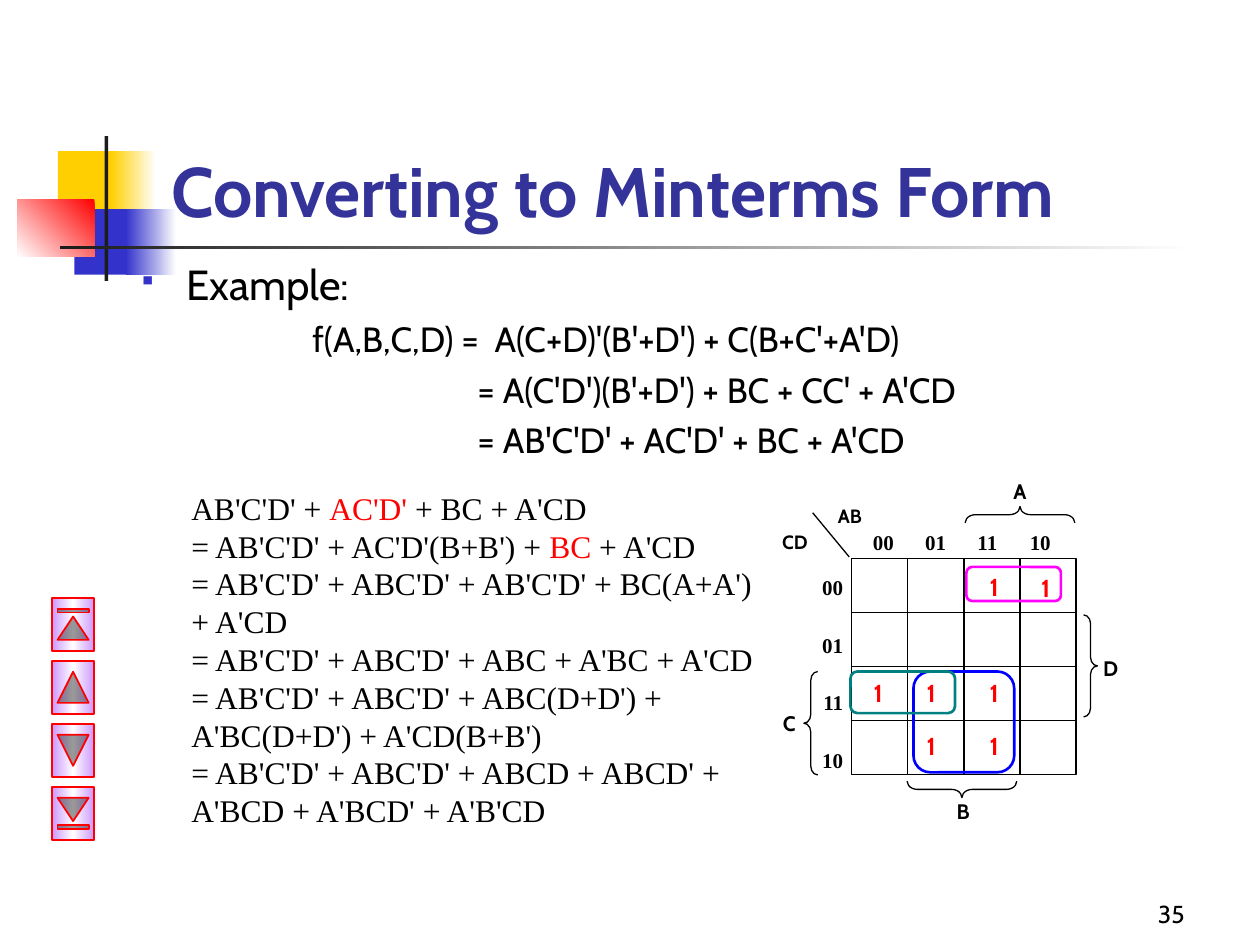
from dataclasses import dataclass
from typing import Optional

from lxml import etree
from pptx import Presentation
from pptx.dml.color import RGBColor
from pptx.enum import shapes, text
from pptx.oxml import parse_xml
from pptx.oxml.ns import nsdecls, qn
from pptx.util import Inches, Pt

SHAPE, ALIGN, ANCHOR = shapes.MSO_SHAPE, text.PP_ALIGN, text.MSO_ANCHOR
COLORS = {
    "black": "000000", "white": "FFFFFF", "title": "333399", "gold": "FFCF01",
    "indigo": "3333CC", "red": "FF0000", "dark": "1C1C1C", "blue": "0000FF",
    "teal": "008080", "magenta": "FF00FF", "lilac": "CC99FF",
}
SANS, SERIF = "Cabin", "Times New Roman"


@dataclass
class Box:
    """A preset shape; two or more fill colours make a gradient."""
    kind: int
    x: float
    y: float
    w: float
    h: float
    fill: tuple = ()
    angle: int = 0
    line: Optional[str] = None
    weight: float = 0.75
    adj: Optional[float] = None
    turn: int = 0


@dataclass
class Label:
    words: str
    x: float
    y: float
    w: float
    h: float
    size: int = 12
    color: str = "black"


def rgb(name: str) -> RGBColor:
    return RGBColor.from_string(COLORS[name])


def set_gradient(sp, names: tuple, angle: int) -> None:
    stops = "".join(
        f'<a:gs pos="{100000 * i // (len(names) - 1)}"><a:srgbClr val="{COLORS[n]}"/></a:gs>'
        for i, n in enumerate(names))
    sp.element.spPr.find(qn("a:prstGeom")).addnext(parse_xml(
        f'<a:gradFill rotWithShape="1" {nsdecls("a")}><a:gsLst>{stops}</a:gsLst>'
        f'<a:lin ang="{angle * 60000}" scaled="1"/></a:gradFill>'))


def draw_box(s, b: Box):
    sp = s.shapes.add_shape(b.kind, Inches(b.x), Inches(b.y), Inches(b.w), Inches(b.h))
    sp.shadow.inherit = False
    sp.rotation = b.turn
    if b.adj is not None:
        sp.adjustments[0] = b.adj
    if len(b.fill) > 1:
        set_gradient(sp, b.fill, b.angle)
    elif b.fill:
        sp.fill.solid()
        sp.fill.fore_color.rgb = rgb(b.fill[0])
    else:
        sp.fill.background()
    if b.line:
        sp.line.color.rgb = rgb(b.line)
        sp.line.width = Pt(b.weight)
    else:
        sp.line.fill.background()
    return sp


def draw_line(s, x1: float, y1: float, x2: float, y2: float):
    c = s.shapes.add_connector(shapes.MSO_CONNECTOR.STRAIGHT,
                               Inches(x1), Inches(y1), Inches(x2), Inches(y2))
    c.line.color.rgb = rgb("black")
    c.line.width = Pt(0.75)
    etree.SubElement(c.element.spPr, qn("a:effectLst"))
    return c


def write(tf, paragraphs, *, size=12, font=SANS, color="black", bold=False,
          align=ALIGN.LEFT, anchor=ANCHOR.TOP, gap=0.0) -> None:
    """Each paragraph is a string or a list of (text, colour) runs."""
    tf.word_wrap = True
    tf.auto_size = text.MSO_AUTO_SIZE.NONE
    tf.vertical_anchor = anchor
    for i, runs in enumerate(paragraphs):
        p = tf.paragraphs[0] if i == 0 else tf.add_paragraph()
        p.alignment = align
        if i and gap:
            p.space_before = Pt(gap)
        for words, shade in [(runs, color)] if isinstance(runs, str) else runs:
            r = p.add_run()
            r.text = words
            r.font.size, r.font.name, r.font.bold = Pt(size), font, bold
            r.font.color.rgb = rgb(shade)


def add_text(s, x: float, y: float, w: float, h: float, paragraphs, **style):
    tf = s.shapes.add_textbox(Inches(x), Inches(y), Inches(w), Inches(h)).text_frame
    write(tf, paragraphs, **style)
    return tf


def set_indent(p, left: float, first: float = 0) -> None:
    pr = p._p.get_or_add_pPr()
    pr.set("marL", str(Inches(left)))
    pr.set("indent", str(Inches(first)))


def add_bullet(p) -> None:
    pr = p._p.get_or_add_pPr()
    clr = etree.SubElement(pr, qn("a:buClr"))
    etree.SubElement(clr, qn("a:srgbClr"), val=COLORS["indigo"])
    etree.SubElement(pr, qn("a:buSzPct"), val="60000")
    etree.SubElement(pr, qn("a:buChar"), char="▪")


def add_tabs(p, step: float, count: int) -> None:
    tabs = etree.SubElement(p._p.get_or_add_pPr(), qn("a:tabLst"))
    for i in range(1, count + 1):
        etree.SubElement(tabs, qn("a:tab"), pos=str(Inches(step * i)), algn="l")


DECOR = [
    Box(SHAPE.RECTANGLE, 0.46, 1.2, 0.48, 0.52, ("gold",)),
    Box(SHAPE.RECTANGLE, 0.88, 1.2, 0.36, 0.52, ("white", "gold"), 180),
    Box(SHAPE.RECTANGLE, 0.59, 1.66, 0.46, 0.52, ("indigo",)),
    Box(SHAPE.RECTANGLE, 1, 1.66, 0.4, 0.52, ("white", "indigo"), 180),
    Box(SHAPE.RECTANGLE, 0.14, 1.58, 0.61, 0.46, ("red", "white"), 135),
    Box(SHAPE.RECTANGLE, 0.83, 1.08, 0.03, 1.15, ("dark",)),
    Box(SHAPE.RECTANGLE, 0.48, 1.95, 9, 0.03, ("white", "dark"), 180),
]
MAP_X, MAP_Y, MAP_W, MAP_H = 6.76, 4.43, 1.78, 1.72
BRACES = [
    Box(SHAPE.LEFT_BRACE, 6.38, 5.33, 0.11, 0.82, line="black", adj=0.63),
    Box(SHAPE.LEFT_BRACE, 8.03, 3.65, 0.13, 0.87, line="black", adj=0.63, turn=90),
    Box(SHAPE.LEFT_BRACE, 7.57, 5.83, 0.13, 0.87, line="black", adj=0.63, turn=270),
    Box(SHAPE.RIGHT_BRACE, 8.6, 4.88, 0.11, 0.81, line="black", adj=0.63),
]
LOOPS = [
    Box(SHAPE.ROUNDED_RECTANGLE, 7.25, 5.33, 0.8, 0.8, line="blue", weight=1.5, adj=0.167),
    Box(SHAPE.ROUNDED_RECTANGLE, 6.75, 5.33, 0.83, 0.33, line="teal", weight=1.5, adj=0.167),
    Box(SHAPE.ROUNDED_RECTANGLE, 7.67, 4.5, 0.75, 0.27, line="magenta", weight=1.5, adj=0.167),
]
VARIABLES = [
    Label("C", 6.1, 5.59, 0.33, 0.35), Label("A", 7.93, 3.75, 0.33, 0.27),
    Label("B", 7.48, 6.29, 0.33, 0.26), Label("D", 8.65, 5.15, 0.33, 0.35),
    Label("CD", 6, 4.16, 0.62, 0.29, 11), Label("AB", 6.49, 3.95, 0.51, 0.29, 11),
]
ONES = [Label("1", x, y, 0.44, 0.35, 14, "red") for x, y in (
    (8.08, 4.5), (7.67, 4.49), (6.75, 5.33), (7.17, 5.33),
    (7.67, 5.33), (7.17, 5.75), (7.67, 5.75))]
CODES = ["00", "01", "11", "10"]
BUTTONS = [SHAPE.ACTION_BUTTON_BEGINNING, SHAPE.ACTION_BUTTON_BACK_OR_PREVIOUS,
           SHAPE.ACTION_BUTTON_FORWARD_OR_NEXT, SHAPE.ACTION_BUTTON_END]
EXPANSION = [
    [("AB'C'D' + ", "black"), ("AC'D'", "red"), (" + BC + A'CD", "black")],
    [("= AB'C'D' + AC'D'(B+B') + ", "black"), ("BC", "red"), (" + A'CD", "black")],
    "= AB'C'D' + ABC'D' + AB'C'D' + BC(A+A') + A'CD",
    "= AB'C'D' + ABC'D' + ABC + A'BC + A'CD",
    "= AB'C'D' + ABC'D' + ABC(D+D') + A'BC(D+D') + A'CD(B+B')",
    "= AB'C'D' + ABC'D' + ABCD + ABCD' + A'BCD + A'BCD' + A'B'CD",
]


def draw_title(s) -> None:
    title = s.shapes.title
    title.left, title.top, title.width, title.height = map(Inches, (1.26, 0.68, 8.52, 1.21))
    write(title.text_frame, ["Converting to Minterms Form"], size=40, color="title",
          bold=True, anchor=ANCHOR.BOTTOM)
    title.element.getparent().append(title.element)


def draw_example(s) -> None:
    tf = add_text(s, 1, 2, 7.58, 1.83, [
        "Example:", "f(A,B,C,D) =  A(C+D)'(B'+D') + C(B+C'+A'D)",
        "= A(C'D')(B'+D') + BC + CC' + A'CD", "= AB'C'D' + AC'D' + BC + A'CD"],
        size=20, gap=5)
    head, *steps = tf.paragraphs
    head.runs[0].font.size = Pt(24)
    set_indent(head, 0.38, -0.38)
    add_bullet(head)
    for p, left in zip(steps, (1.38, 2.69, 2.69)):
        set_indent(p, left)


def draw_map(s) -> None:
    frame = draw_box(s, Box(SHAPE.RECTANGLE, MAP_X, MAP_Y, MAP_W, MAP_H, line="black"))
    for i in (1, 2, 3):
        x, y = MAP_X + MAP_W * i / 4, MAP_Y + MAP_H * i / 4
        across = draw_line(s, MAP_X, y, MAP_X + MAP_W, y)
        down = draw_line(s, x, MAP_Y, x, MAP_Y + MAP_H)
        if i == 2:
            for c, start, end in ((across, 1, 3), (down, 0, 2)):
                c.begin_connect(frame, start)
                c.end_connect(frame, end)
    draw_line(s, 6.74, 4.42, 6.45, 4.07)
    add_text(s, 6.3, 4.51, 0.49, 1.79, CODES, font=SERIF, bold=True,
             align=ALIGN.RIGHT, gap=18.5)
    columns = add_text(s, 6.83, 4.15, 1.66, 0.35, ["\t".join(CODES)], font=SERIF, bold=True)
    add_tabs(columns.paragraphs[0], 0.415, 3)
    for b in BRACES:
        draw_box(s, b)
    for t in VARIABLES + ONES:
        add_text(s, t.x, t.y, t.w, t.h, [t.words], size=t.size, color=t.color,
                 bold=True, align=ALIGN.CENTER)
    for b in LOOPS:
        draw_box(s, b)


def main() -> None:
    prs = Presentation()
    prs.slide_width, prs.slide_height = Inches(10), Inches(7.5)
    s = prs.slides.add_slide(prs.slide_layouts[5])
    for b in DECOR:
        draw_box(s, b)
    draw_title(s)
    draw_example(s)
    draw_map(s)
    add_text(s, 1.42, 3.83, 4.67, 3.42, EXPANSION, size=18, font=SERIF)
    for i, kind in enumerate(BUTTONS):
        draw_box(s, Box(kind, 0.37, 4.79 + 0.5 * i, 0.42, 0.33,
                        ("lilac", "white", "lilac"), 90, "red", 1, turn=90))
    add_text(s, 7.42, 6.92, 2.08, 0.5, ["35"], size=14, align=ALIGN.RIGHT,
             anchor=ANCHOR.BOTTOM)
    prs.save("out.pptx")


if __name__ == "__main__":
    main()
